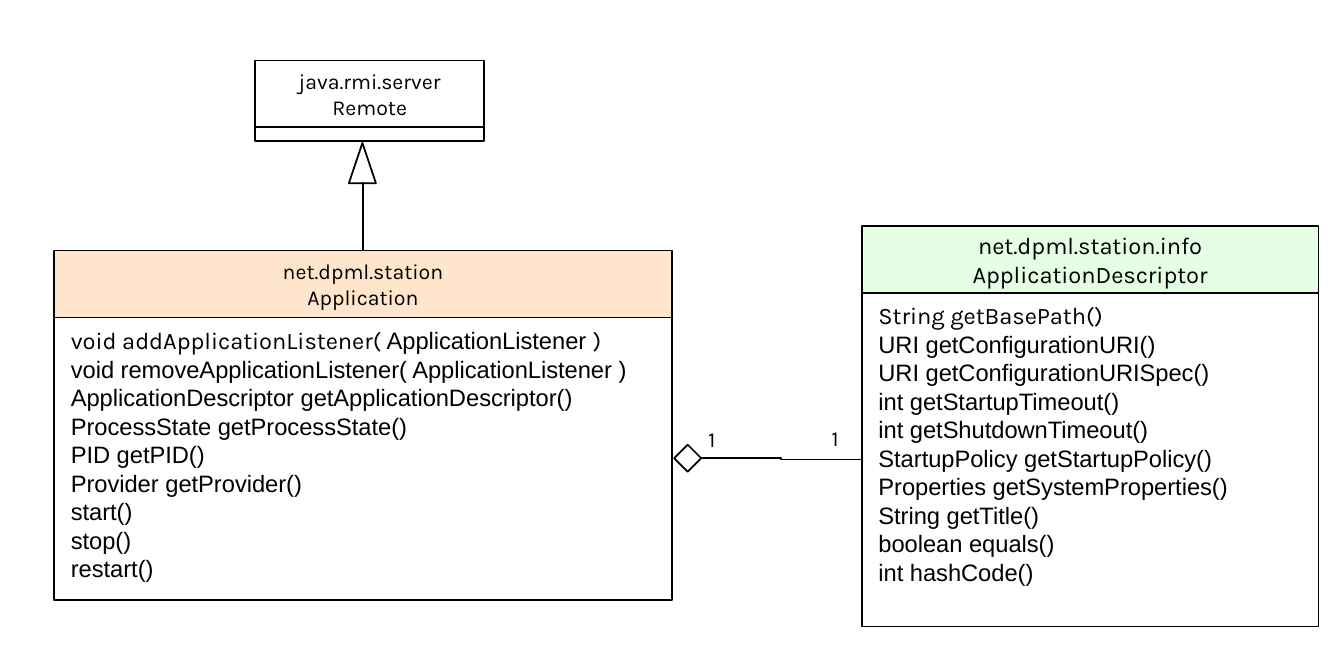
from dataclasses import dataclass

from lxml import etree
from pptx import Presentation
from pptx.dml.color import RGBColor
from pptx.enum.shapes import MSO_CONNECTOR as Connector, MSO_SHAPE as Shape
from pptx.enum.text import MSO_ANCHOR as Anchor, MSO_AUTO_SIZE as AutoSize, PP_ALIGN as Align
from pptx.oxml.ns import qn
from pptx.util import Pt


@dataclass(frozen=True)
class Theme:
    ink: str = "000000"
    paper: str = "FFFFFF"
    orange: str = "FFCC99"
    green: str = "CCFFCC"
    tint_alpha: str = "50000"
    heading_font: str = "Karla"
    member_font: str = "Arial"
    small: float = 9
    regular: float = 10
    line: float = 0.75


theme = Theme()
KARLA, ARIAL = theme.heading_font, theme.member_font


def add_outlined(kind, left, top, width, height, fill=theme.paper):
    shape = slide.shapes.add_shape(kind, Pt(left), Pt(top), Pt(width), Pt(height))
    shape.shadow.inherit = False
    shape.line.color.rgb = RGBColor.from_string(theme.ink)
    shape.line.width = Pt(theme.line)
    if fill is None:
        shape.fill.background()
    else:
        shape.fill.solid()
        shape.fill.fore_color.rgb = RGBColor.from_string(fill)
    return shape


def write(shape, paragraphs, size, align=Align.LEFT, anchor=Anchor.TOP):
    frame = shape.text_frame
    frame.word_wrap = False
    frame.vertical_anchor = anchor
    for index, pieces in enumerate(paragraphs):
        paragraph = frame.add_paragraph() if index else frame.paragraphs[0]
        paragraph.alignment = align
        for font, text in pieces:
            for number, line in enumerate(text.split("\n")):
                if number:
                    paragraph.add_line_break()
                if line:
                    run = paragraph.add_run()
                    run.text = line
                    run.font.name = font
                    run.font.size = Pt(size)
                    run.font.color.rgb = RGBColor.from_string(theme.ink)


presentation = Presentation()
presentation.slide_width = Pt(566.93)
presentation.slide_height = Pt(283.46)
slide = presentation.slides.add_slide(presentation.slide_layouts[6])

application_members = [
    [
        (KARLA, "void addApplicationListener( "),
        (ARIAL, "ApplicationListener "),
        (KARLA, ")\n"),
        (ARIAL, "void removeApplicationListener( ApplicationListener )\n"
                "ApplicationDescriptor getApplicationDescriptor()\n"
                "ProcessState getProcessState()"),
    ],
    [(ARIAL, "PID getPID()\nProvider getProvider()\nstart()\nstop()\nrestart()")],
]
descriptor_members = [
    [
        (KARLA, "String getBasePath()\n"),
        (ARIAL, "URI getConfigurationURI()\nURI getConfigurationURISpec()\n"
                "int getStartupTimeout()\nint getShutdownTimeout()\n"
                "StartupPolicy getStartupPolicy()\n"
                "Properties getSystemProperties()\n"
                "String getTitle()\nboolean equals()\nint hashCode()"),
    ],
]

HEADER_HEIGHT = 28.2
classes = [
    ("net.dpml.station\nApplication", theme.small, theme.orange,
     22.8, 105.7, 260.6, 119.2, application_members),
    ("java.rmi.server\nRemote", theme.small, None,
     107.7, 25.5, 96.4, 5.8, []),
    ("net.dpml.station.info\nApplicationDescriptor", theme.regular, theme.green,
     363.5, 95.3, 192.7, 140.8, descriptor_members),
]
for title, title_size, tint, left, top, width, body_height, members in classes:
    header = add_outlined(Shape.RECTANGLE, left, top, width, HEADER_HEIGHT, tint)
    if tint:
        color = header.fill._xPr.find(f"{qn('a:solidFill')}/{qn('a:srgbClr')}")
        etree.SubElement(color, qn("a:alpha"), val=theme.tint_alpha)
    write(header, [[(KARLA, title)]], title_size, Align.CENTER, Anchor.MIDDLE)
    body = add_outlined(Shape.RECTANGLE, left, top + HEADER_HEIGHT, width, body_height)
    if members:
        write(body, members, theme.regular)

add_outlined(Shape.ISOSCELES_TRIANGLE, 147.2, 60.3, 11.4, 17)
add_outlined(Shape.DIAMOND, 284.4, 187.6, 11.4, 11.4)

inheritance = (152.9, 77.3, 153.1, 105.7)
aggregation = (363.5, 193.9, 295.8, 193.3)
for ends in (inheritance, aggregation):
    connector = slide.shapes.add_connector(Connector.ELBOW, *map(Pt, ends))
    connector.line.color.rgb = RGBColor.from_string(theme.ink)
    connector.line.width = Pt(theme.line)
    etree.SubElement(connector._element.spPr, qn("a:effectLst"))

for left, top in ((343.7, 175.7), (291.7, 176.2)):
    multiplicity = slide.shapes.add_textbox(Pt(left), Pt(top), Pt(19.4), Pt(18))
    write(multiplicity, [[(KARLA, "1")]], theme.small)
    multiplicity.text_frame.auto_size = AutoSize.SHAPE_TO_FIT_TEXT

presentation.save("out.pptx")
